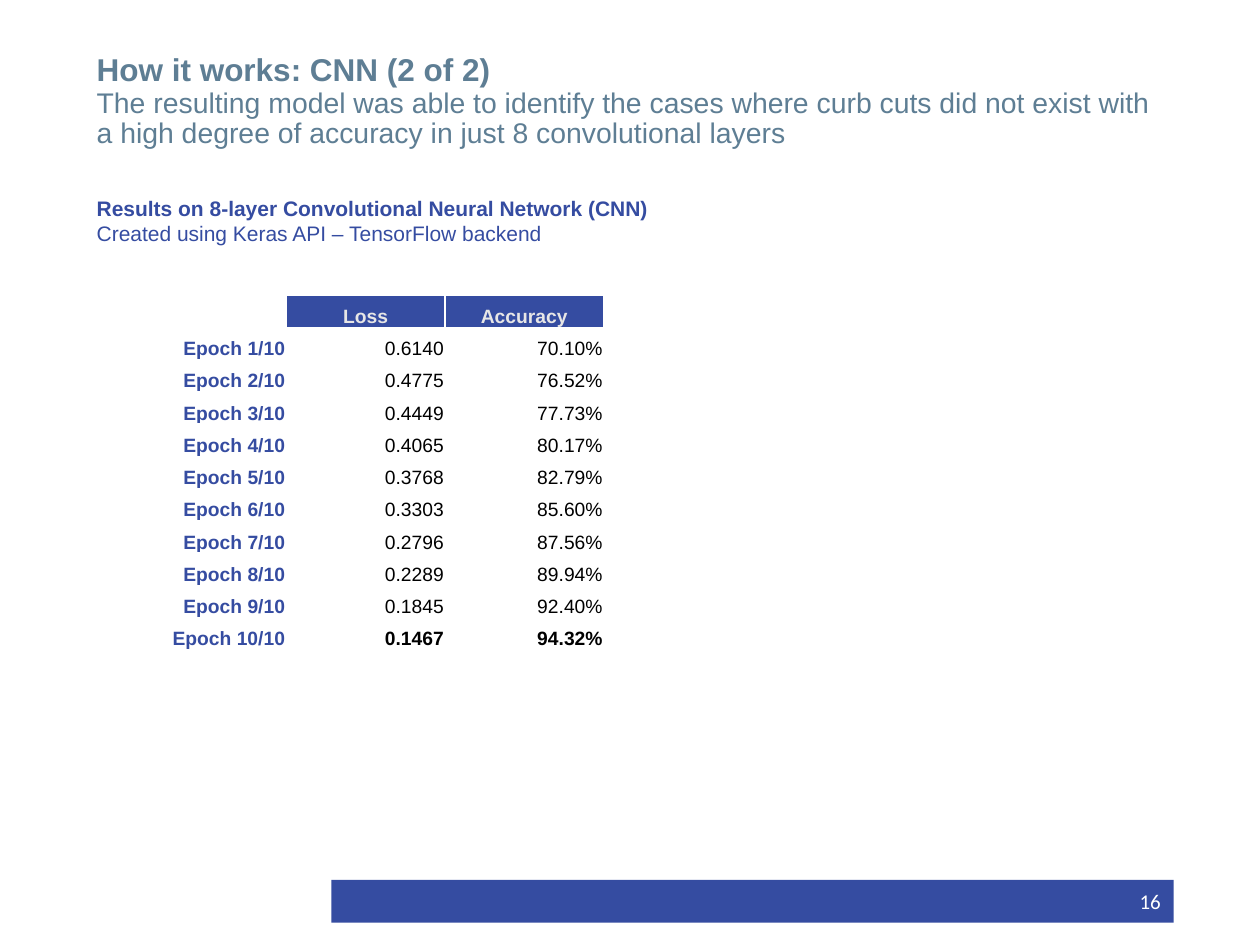
"""Build the CNN results slide with its epoch table and footer."""
import lxml.etree
import pptx
import pptx.dml.color
import pptx.enum.shapes
import pptx.enum.text
import pptx.oxml.ns
import pptx.util

Cm = pptx.util.Cm
Pt = pptx.util.Pt
RGBColor = pptx.dml.color.RGBColor
ALIGN = pptx.enum.text.PP_ALIGN
ANCHOR = pptx.enum.text.MSO_ANCHOR
qn = pptx.oxml.ns.qn

BLUE = RGBColor(0x35, 0x4C, 0xA1)
SLATE = RGBColor(0x5E, 0x7E, 0x94)
LIGHT = RGBColor(0xE7, 0xE6, 0xE6)
WHITE = RGBColor(0xFF, 0xFF, 0xFF)
BLACK = RGBColor(0x00, 0x00, 0x00)

RESULTS = [
    ("0.6140", "70.10%"), ("0.4775", "76.52%"), ("0.4449", "77.73%"),
    ("0.4065", "80.17%"), ("0.3768", "82.79%"), ("0.3303", "85.60%"),
    ("0.2796", "87.56%"), ("0.2289", "89.94%"), ("0.1845", "92.40%"),
    ("0.1467", "94.32%"),
]


def style_run(r, size, color, bold=False, font="Arial"):
    """Set the font of one run."""
    r.font.name = font
    r.font.size = Pt(size)
    r.font.bold = bold
    r.font.color.rgb = color


def add_text(s, left, top, width, height, text, anchor=ANCHOR.TOP, align=ALIGN.LEFT):
    """Add a wrapping text box and return its text frame."""
    tf = s.shapes.add_textbox(Cm(left), Cm(top), Cm(width), Cm(height)).text_frame
    tf.word_wrap = True
    tf.vertical_anchor = anchor
    tf.text = text
    for p in tf.paragraphs:
        p.alignment = align
    return tf


def add_title(s):
    """Add the bold title line and its lighter statement."""
    tf = add_text(s, 1.7, 0.91, 21.97, 2.24,
                  "How it works: CNN (2 of 2)\vThe resulting model was able to identify "
                  "the cases where curb cuts did not exist with a high degree of accuracy "
                  "in just 8 convolutional layers", ANCHOR.BOTTOM)
    p = tf.paragraphs[0]
    p.line_spacing = 0.9
    heading, statement = p.runs
    style_run(heading, 18, SLATE, True)
    style_run(statement, 16.2, SLATE)


def add_caption(s):
    """Add the two-line caption above the table."""
    tf = add_text(s, 1.7, 3.81, 14.5, 1.27,
                  "Results on 8-layer Convolutional Neural Network (CNN)\n"
                  "Created using Keras API – TensorFlow backend")
    for p, bold in zip(tf.paragraphs, (True, False)):
        style_run(p.runs[0], 12, BLUE, bold)


def add_borders(cell):
    """Give a cell thin white borders on every side."""
    tc_pr = cell._tc.get_or_add_tcPr()
    for side in ("lnL", "lnR", "lnT", "lnB"):
        ln = lxml.etree.SubElement(tc_pr, qn(f"a:{side}"), w=str(Pt(1)))
        fill = lxml.etree.SubElement(ln, qn("a:solidFill"))
        lxml.etree.SubElement(fill, qn("a:srgbClr"), val=str(WHITE))


def fill_cell(cell, text, color, bold, align, fill=None):
    """Write and format one table cell."""
    add_borders(cell)
    if fill is None:
        cell.fill.background()
    else:
        cell.fill.solid()
        cell.fill.fore_color.rgb = fill
    cell.margin_left = cell.margin_right = cell.margin_top = Cm(0.02)
    cell.margin_bottom = Cm(0)
    cell.vertical_anchor = ANCHOR.BOTTOM
    p = cell.text_frame.paragraphs[0]
    p.text = text
    p.alignment = align
    for r in p.runs:
        style_run(r, 11, color, bold)
    if not text:
        lxml.etree.SubElement(p._p, qn("a:endParaRPr"), sz="1100")


def add_results_table(s):
    """Add the table of loss and accuracy by epoch."""
    count = len(RESULTS)
    table = s.shapes.add_table(count + 1, 3, Cm(1.7), Cm(5.95), Cm(10.47), Cm(7.15)).table
    table.first_row = table.horz_banding = False
    for column, width in zip(table.columns, (4.07, 3.2, 3.2)):
        column.width = Cm(width)
    for row in table.rows:
        row.height = Cm(0.65)
    for col, (text, fill) in enumerate((("", None), ("Loss", BLUE), ("Accuracy", BLUE))):
        fill_cell(table.cell(0, col), text, LIGHT, True, ALIGN.CENTER, fill)
    for epoch, values in enumerate(RESULTS, 1):
        fill_cell(table.cell(epoch, 0), f"Epoch {epoch}/{count}", BLUE, True, ALIGN.RIGHT)
        for col, value in enumerate(values, 1):
            fill_cell(table.cell(epoch, col), value, BLACK, epoch == count, ALIGN.RIGHT)


def add_footer(s):
    """Add the footer bar and the page number."""
    bar = s.shapes.add_shape(pptx.enum.shapes.MSO_SHAPE.RECTANGLE,
                             Cm(6.68), Cm(17.74), Cm(16.98), Cm(0.86))
    bar.shadow.inherit = False
    bar.fill.solid()
    bar.fill.fore_color.rgb = BLUE
    bar.line.fill.background()
    tf = add_text(s, 17.93, 17.65, 5.72, 1.02, "16", ANCHOR.MIDDLE, ALIGN.RIGHT)
    style_run(tf.paragraphs[0].runs[0], 12, WHITE, font="Calibri")


def main():
    """Build and save the slide."""
    prs = pptx.Presentation()
    prs.slide_width, prs.slide_height = Cm(25.4), Cm(19.05)
    s = prs.slides.add_slide(prs.slide_layouts[6])
    add_footer(s)
    add_title(s)
    add_results_table(s)
    add_caption(s)
    prs.save("out.pptx")


if __name__ == "__main__":
    main()
